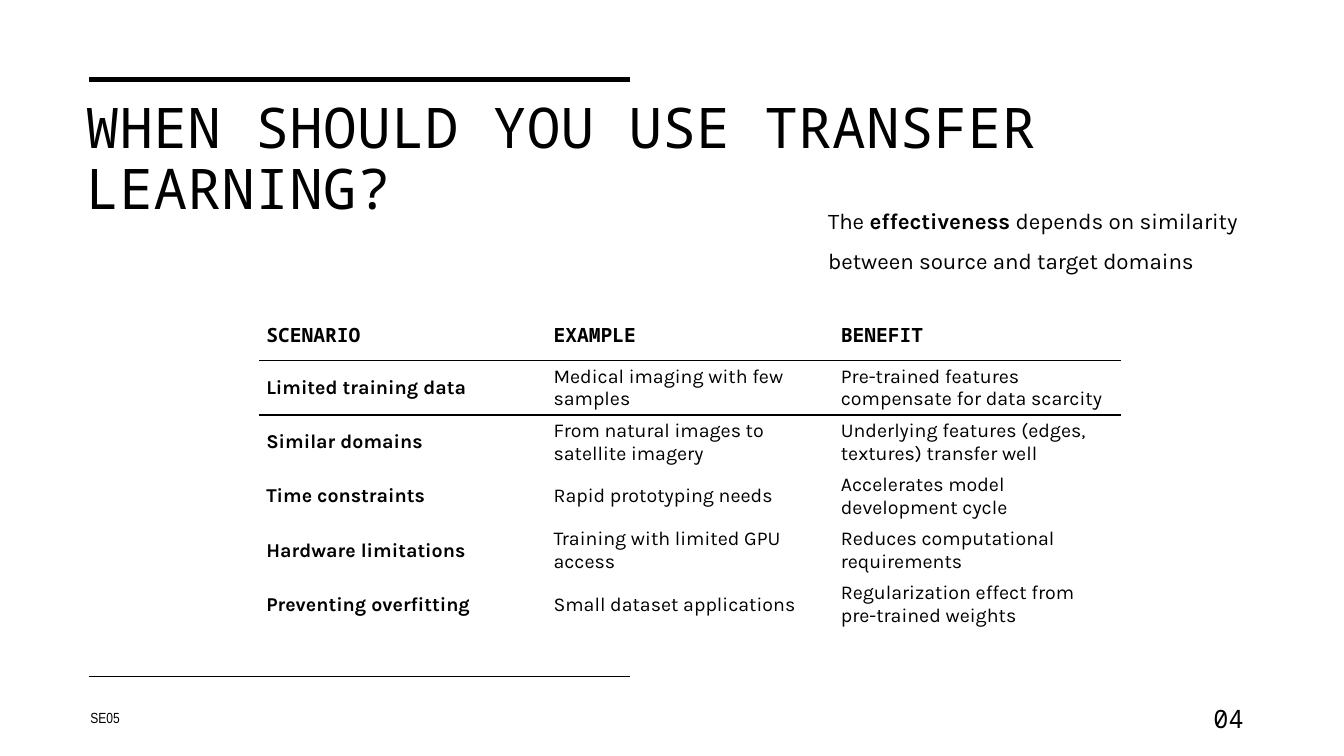
from dataclasses import dataclass
from typing import Optional

from lxml.etree import SubElement
from pptx import Presentation
from pptx.dml.color import RGBColor
from pptx.enum.shapes import MSO_CONNECTOR
from pptx.enum.text import MSO_ANCHOR, PP_ALIGN
from pptx.oxml.ns import qn
from pptx.slide import Slide
from pptx.table import _Cell
from pptx.text.text import Font
from pptx.util import Cm, Pt

BLACK = RGBColor(0, 0, 0)
MONO = "Noto Sans Mono"
BODY = "Karla"
NARROW = "Arial Narrow"
NO_STYLE = "{2D5ABB26-0587-4C30-8999-92F81FD0307C}"


@dataclass
class Span:
    text: str
    bold: Optional[bool] = None


@dataclass
class TextItem:
    left: float
    top: float
    width: float
    height: float
    spans: list[Span]
    font: str
    size: float
    line_spacing: float = 1.0
    space_after: float = 0
    anchor: MSO_ANCHOR = MSO_ANCHOR.TOP
    letter_spacing: int = 0


@dataclass
class Rule:
    left: float
    right: float
    top: float
    weight: float


RULES = [Rule(2.24, 15.88, 2.01, 3.5), Rule(2.24, 15.88, 17.04, 1)]

TEXTS = [
    TextItem(1.91, 2.41, 28.42, 8.38, [Span("WHEN SHOULD YOU USE TRANSFER LEARNING?")],
             MONO, 40, line_spacing=0.9, letter_spacing=30),
    TextItem(2.03, 17.58, 12.6, 1.02, [Span("SE05")], NARROW, 10.5,
             space_after=6, anchor=MSO_ANCHOR.MIDDLE),
    TextItem(30.33, 17.65, 1.88, 1.02, [Span("04")], MONO, 18,
             line_spacing=0.9, space_after=6, anchor=MSO_ANCHOR.MIDDLE),
    TextItem(20.62, 4.75, 11.58, 2.18,
             [Span("The "), Span("effectiveness", True),
              Span(" depends on similarity between source and target domains")],
             BODY, 16, line_spacing=1.5),
]

SCENARIOS = [
    ("SCENARIO", "EXAMPLE", "BENEFIT"),
    ("Limited training data", "Medical imaging with few samples",
     "Pre-trained features compensate for data scarcity"),
    ("Similar domains", "From natural images to satellite imagery",
     "Underlying features (edges, textures) transfer well"),
    ("Time constraints", "Rapid prototyping needs", "Accelerates model development cycle"),
    ("Hardware limitations", "Training with limited GPU access",
     "Reduces computational requirements"),
    ("Preventing overfitting", "Small dataset applications",
     "Regularization effect from pre-trained weights"),
]
COLUMN_WIDTH = 7.24
HEADER_HEIGHT = 1.32
ROW_HEIGHT = 1.35


def style_font(font: Font, name: str, size: float) -> None:
    font.name = name
    font.size = Pt(size)
    font.color.rgb = BLACK


def draw_rule(page: Slide, rule: Rule) -> None:
    line = page.shapes.add_connector(MSO_CONNECTOR.STRAIGHT, Cm(rule.left), Cm(rule.top),
                                     Cm(rule.right), Cm(rule.top))
    line.line.color.rgb = BLACK
    line.line.width = Pt(rule.weight)
    SubElement(line._element.spPr, qn("a:effectLst"))


def draw_text(page: Slide, item: TextItem) -> None:
    box = page.shapes.add_textbox(Cm(item.left), Cm(item.top), Cm(item.width), Cm(item.height))
    frame = box.text_frame
    frame.word_wrap = True
    frame.vertical_anchor = item.anchor
    para = frame.paragraphs[0]
    para.alignment = PP_ALIGN.LEFT
    para.line_spacing = item.line_spacing
    para.space_after = Pt(item.space_after)
    style_font(para.font, item.font, item.size)
    for part in item.spans:
        span = para.add_run()
        span.text = part.text
        span.font.bold = part.bold
        if item.letter_spacing:
            span.font._element.set("spc", str(item.letter_spacing))


def add_border(cell: _Cell, side: str) -> None:
    border = SubElement(cell._tc.get_or_add_tcPr(), qn(f"a:{side}"), w=str(Pt(1)))
    fill = SubElement(border, qn("a:solidFill"))
    SubElement(fill, qn("a:srgbClr"), val=str(BLACK))


def fill_cell(cell: _Cell, text: str, row: int, column: int) -> None:
    cell.text = text
    cell.vertical_anchor = MSO_ANCHOR.MIDDLE
    cell.margin_left = cell.margin_right = Cm(0.18)
    cell.margin_top = cell.margin_bottom = Cm(0.09)
    font = cell.text_frame.paragraphs[0].font
    style_font(font, MONO if row == 0 else BODY, 14)
    font.bold = row == 0 or column == 0
    if row < 2:
        add_border(cell, "lnB" if row == 0 else "lnT")
    cell.fill.background()


def draw_table(page: Slide) -> None:
    row_count, column_count = len(SCENARIOS), len(SCENARIOS[0])
    height = HEADER_HEIGHT + ROW_HEIGHT * (row_count - 1)
    table = page.shapes.add_table(row_count, column_count, Cm(6.53), Cm(7.77),
                                  Cm(COLUMN_WIDTH * column_count), Cm(height)).table
    table.horz_banding = False
    table._tbl.tblPr.find(qn("a:tableStyleId")).text = NO_STYLE
    for column in table.columns:
        column.width = Cm(COLUMN_WIDTH)
    for row_index, texts in enumerate(SCENARIOS):
        table.rows[row_index].height = Cm(ROW_HEIGHT if row_index else HEADER_HEIGHT)
        for column_index, text in enumerate(texts):
            fill_cell(table.cell(row_index, column_index), text, row_index, column_index)


def main() -> None:
    deck = Presentation()
    deck.slide_width = Cm(33.87)
    deck.slide_height = Cm(19.05)
    page = deck.slides.add_slide(deck.slide_layouts[6])
    for rule in RULES:
        draw_rule(page, rule)
    for item in TEXTS:
        draw_text(page, item)
    draw_table(page)
    deck.save("out.pptx")


if __name__ == "__main__":
    main()
